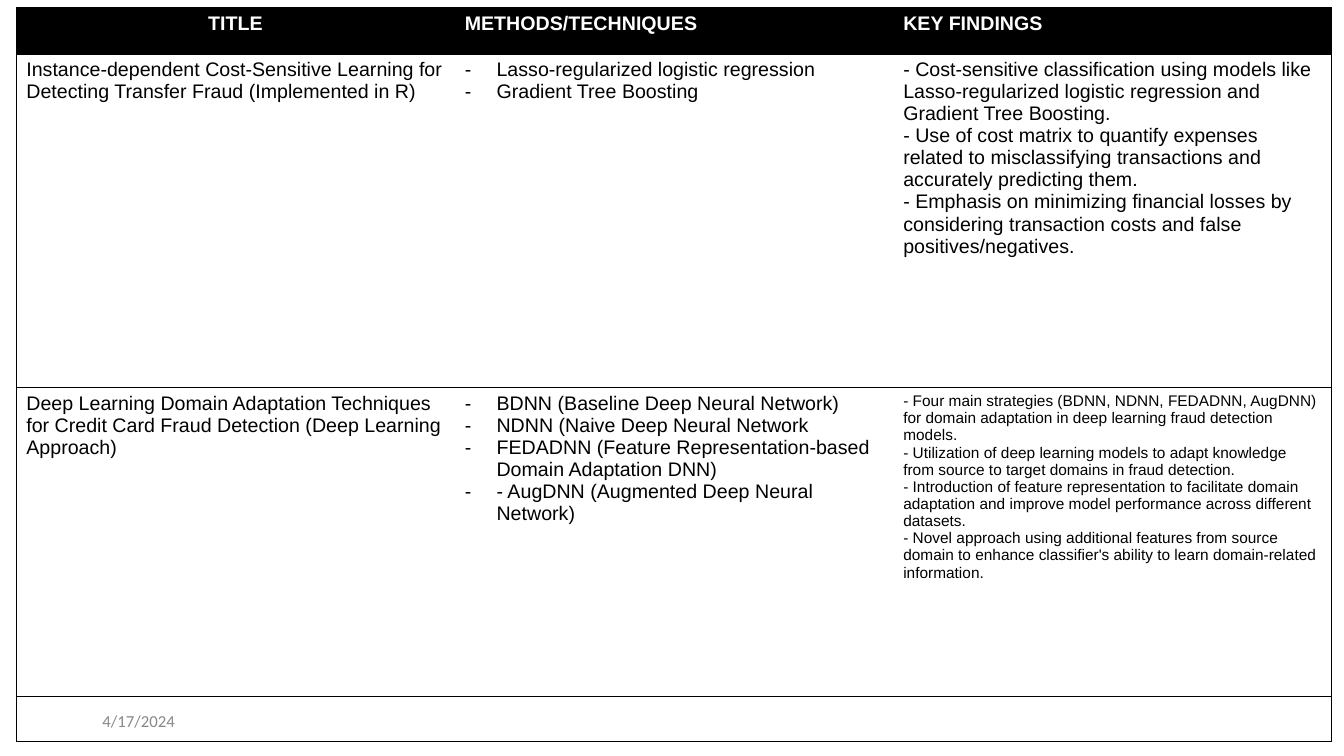
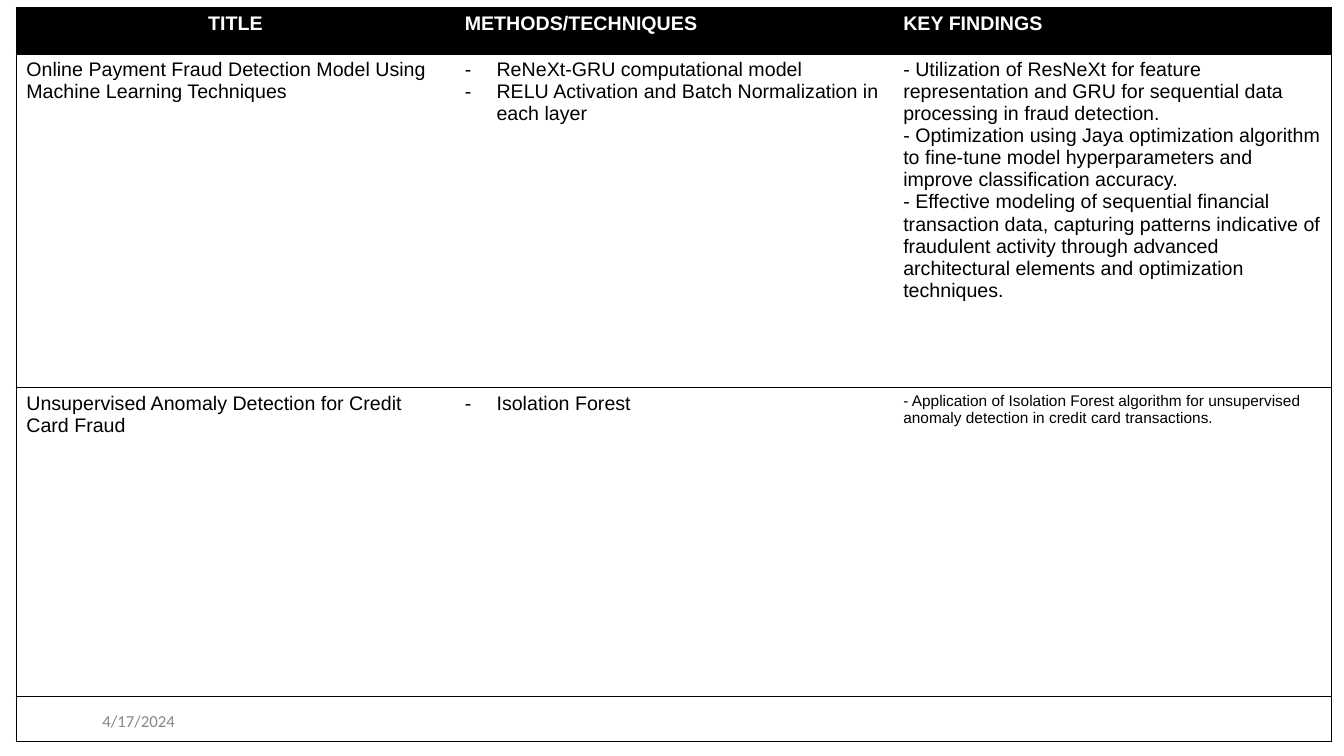
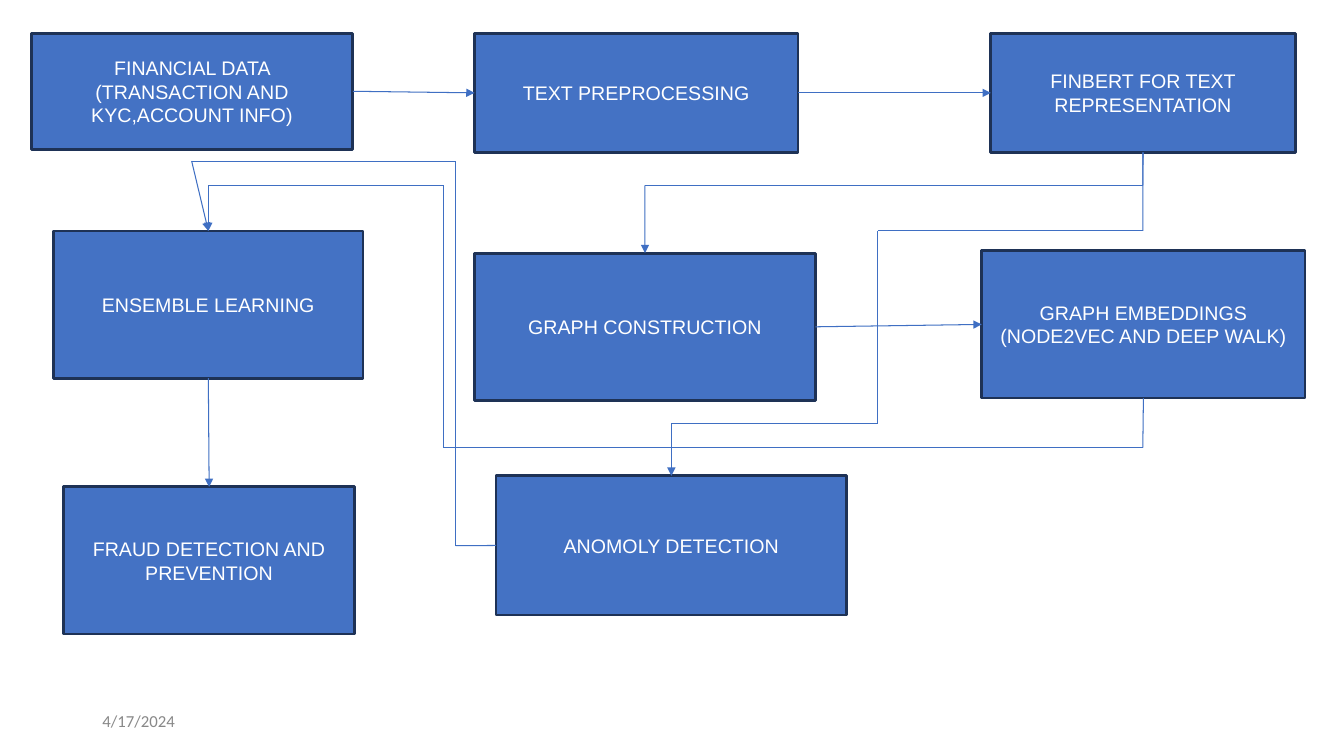
from itertools import pairwise

from lxml.etree import SubElement
from pptx import Presentation
from pptx.dml.color import RGBColor
from pptx.enum.shapes import MSO_CONNECTOR as Link, MSO_SHAPE as Shape
from pptx.enum.text import MSO_ANCHOR as Anchor, PP_ALIGN as Align
from pptx.oxml import parse_xml
from pptx.oxml.ns import nsdecls, qn
from pptx.util import Cm, Pt

# Connection sites of a rectangle
TOP, LEFT, BOTTOM, RIGHT = range(4)
PLAIN_TABLE = "{2D5ABB26-0587-4C30-8999-92F81FD0307C}"


def color(value):
    return RGBColor.from_string(value)


class Deck:
    black, white, gray = "000000", "FFFFFF", "888888"
    blue, outline, arrow = "4472C4", "1E3256", "3F6FC3"
    font, footer_font = "Arial", "Calibri"
    size, small, footer_size = 14, 11, 12
    date = "4/17/2024"

    def __init__(self):
        self.deck = Presentation()
        self.deck.slide_width, self.deck.slide_height = Cm(33.87), Cm(19.05)
        self.page = None

    def add_page(self):
        self.page = self.deck.slides.add_slide(self.deck.slide_layouts[6])
        box = self.page.shapes.add_textbox(Cm(2.33), Cm(17.65), Cm(7.62), Cm(1.01))
        box.text_frame.word_wrap = True
        box.text_frame.vertical_anchor = Anchor.MIDDLE
        self.set_text(box.text_frame, self.date, self.gray, self.footer_size,
                      font=self.footer_font)

    def set_text(self, frame, text, ink, size=size, bold=False, align=Align.LEFT,
                 font=font, dashes=False):
        frame.text = text
        for para in frame.paragraphs:
            para.alignment = align
            if dashes:
                self.add_dash(para)
            for span in para.runs:
                span.font.name, span.font.size = font, Pt(size)
                span.font.bold = bold
                span.font.color.rgb = color(ink)

    def add_dash(self, para):
        props = para._p.get_or_add_pPr()
        props.set("marL", str(Cm(0.8)))
        props.set("indent", str(-Cm(0.8)))
        SubElement(props, qn("a:buFont"), typeface=self.font)
        SubElement(props, qn("a:buChar"), char="-")

    # Literature table
    def add_table(self, headers, studies):
        heights = (1.17, 8.41, 7.77, 1.14)
        frame = self.page.shapes.add_table(
            len(heights), len(headers), Cm(0.41), Cm(0.19), Cm(33.15), Cm(18.49))
        table = frame.table
        table._tbl.tblPr.find(qn("a:tableStyleId")).text = PLAIN_TABLE
        table.first_row = table.horz_banding = False
        for column in table.columns:
            column.width = Cm(11.05)
        for row, height in zip(table.rows, heights):
            row.height = Cm(height)
        for index, header in enumerate(headers):
            self.set_text(table.cell(0, index).text_frame, header, self.white,
                          bold=True, align=Align.LEFT if index else Align.CENTER)
        for number, (title, methods, findings) in enumerate(studies, 1):
            cells = [cell.text_frame for cell in table.rows[number].cells]
            self.set_text(cells[0], title, self.black)
            self.set_text(cells[1], "\n".join(methods), self.black, dashes=True)
            self.set_text(cells[2], "\n".join(f"- {finding}" for finding in findings),
                          self.black, self.size if number == 1 else self.small)
        for number, row in enumerate(table.rows):
            for index, cell in enumerate(row.cells):
                if number == 0:
                    cell.fill.solid()
                    cell.fill.fore_color.rgb = color(self.black)
                else:
                    cell.fill.background()
                self.add_borders(cell, index == 0, index == len(headers) - 1)

    def add_borders(self, cell, first, last):
        props = cell._tc.get_or_add_tcPr()
        sides = {"L": first, "R": last, "T": True, "B": True}
        for place, (side, drawn) in enumerate(sides.items()):
            paint = (f'<a:solidFill><a:srgbClr val="{self.black}"/></a:solidFill>'
                     if drawn else "<a:noFill/>")
            props.insert(place, parse_xml(
                f'<a:ln{side} {nsdecls("a")} w="{Pt(0.75)}">{paint}</a:ln{side}>'))

    # Flow chart
    def add_step(self, text, left, top, width, height=3.71):
        box = self.page.shapes.add_shape(
            Shape.RECTANGLE, Cm(left), Cm(top), Cm(width), Cm(height))
        box.shadow.inherit = False
        box.fill.solid()
        box.fill.fore_color.rgb = color(self.blue)
        box.line.color.rgb = color(self.outline)
        box.line.width = Pt(2)
        box.text_frame.word_wrap = True
        box.text_frame.vertical_anchor = Anchor.MIDDLE
        self.set_text(box.text_frame, text, self.white, align=Align.CENTER)
        return box

    def add_route(self, start, start_site, end, end_site, corners=()):
        """Join two steps by straight lines through the corners, ending in an arrow."""
        points = [(0, 0), *corners, (0, 0)]
        lines = [self.page.shapes.add_connector(
            Link.STRAIGHT, Cm(x1), Cm(y1), Cm(x2), Cm(y2))
            for (x1, y1), (x2, y2) in pairwise(points)]
        lines[0].begin_connect(start, start_site)
        lines[-1].end_connect(end, end_site)
        for line in lines:
            line.line.color.rgb = color(self.arrow)
            line.line.width = Pt(0.75)
            SubElement(line._element.spPr, qn("a:effectLst"))
        SubElement(lines[-1].line._get_or_add_ln(), qn("a:tailEnd"), type="triangle")


HEADERS = ("TITLE", "METHODS/TECHNIQUES", "KEY FINDINGS")

# Each study: title, methods, findings
STUDY_PAGES = [
    [
        ("Instance-dependent Cost-Sensitive Learning for Detecting Transfer Fraud "
         "(Implemented in R)",
         ["Lasso-regularized logistic regression", "Gradient Tree Boosting"],
         ["Cost-sensitive classification using models like Lasso-regularized logistic "
          "regression and Gradient Tree Boosting.",
          "Use of cost matrix to quantify expenses related to misclassifying "
          "transactions and accurately predicting them.",
          "Emphasis on minimizing financial losses by considering transaction costs "
          "and false positives/negatives."]),
        ("Deep Learning Domain Adaptation Techniques for Credit Card Fraud Detection "
         "(Deep Learning Approach)",
         ["BDNN (Baseline Deep Neural Network)",
          "NDNN (Naive Deep Neural Network",
          "FEDADNN (Feature Representation-based Domain Adaptation DNN)",
          "- AugDNN (Augmented Deep Neural Network)"],
         ["Four main strategies (BDNN, NDNN, FEDADNN, AugDNN) for domain adaptation "
          "in deep learning fraud detection models.",
          "Utilization of deep learning models to adapt knowledge from source to "
          "target domains in fraud detection.",
          "Introduction of feature representation to facilitate domain adaptation and "
          "improve model performance across different datasets.",
          "Novel approach using additional features from source domain to enhance "
          "classifier's ability to learn domain-related information."]),
    ],
    [
        ("Online Payment Fraud Detection Model Using Machine Learning Techniques",
         ["ReNeXt-GRU computational model",
          "RELU Activation and Batch Normalization in each layer"],
         ["Utilization of ResNeXt for feature representation and GRU for sequential "
          "data processing in fraud detection.",
          "Optimization using Jaya optimization algorithm to fine-tune model "
          "hyperparameters and improve classification accuracy.",
          "Effective modeling of sequential financial transaction data, capturing "
          "patterns indicative of fraudulent activity through advanced architectural "
          "elements and optimization techniques."]),
        ("Unsupervised Anomaly Detection for Credit Card Fraud",
         ["Isolation Forest"],
         ["Application of Isolation Forest algorithm for unsupervised anomaly "
          "detection in credit card transactions."]),
    ],
]


def add_flow(deck):
    deck.add_page()
    # Steps
    data = deck.add_step("FINANCIAL DATA (TRANSACTION AND KYC,ACCOUNT INFO)",
                         0.79, 0.84, 8.1, 2.92)
    text = deck.add_step("TEXT PREPROCESSING", 11.96, 0.84, 8.15, 3)
    finbert = deck.add_step("FINBERT FOR TEXT REPRESENTATION", 24.97, 0.84, 7.67, 3)
    ensemble = deck.add_step("ENSEMBLE LEARNING", 1.35, 5.82, 7.8)
    graph = deck.add_step("GRAPH CONSTRUCTION", 11.96, 6.38, 8.59)
    embeddings = deck.add_step("GRAPH EMBEDDINGS (NODE2VEC AND DEEP WALK)",
                               24.74, 6.32, 8.15)
    prevention = deck.add_step("FRAUD DETECTION AND PREVENTION", 1.6, 12.27, 7.34)
    anomaly = deck.add_step("ANOMOLY DETECTION", 12.5, 11.99, 8.84, 3.51)

    # Direct arrows
    deck.add_route(data, RIGHT, text, LEFT)
    deck.add_route(text, RIGHT, finbert, LEFT)
    deck.add_route(graph, RIGHT, embeddings, LEFT)
    deck.add_route(ensemble, BOTTOM, prevention, TOP)

    # Arrows around the steps
    deck.add_route(finbert, BOTTOM, graph, TOP, [(28.8, 4.67), (16.25, 4.67)])
    deck.add_route(embeddings, BOTTOM, ensemble, TOP,
                   [(28.8, 11.28), (11.18, 11.28), (11.18, 4.67), (5.25, 4.67)])
    deck.add_route(finbert, BOTTOM, anomaly, TOP,
                   [(28.8, 5.82), (22.12, 5.82), (22.12, 10.67), (16.92, 10.67)])
    deck.add_route(anomaly, LEFT, ensemble, TOP,
                   [(11.48, 13.75), (11.48, 4.06), (4.83, 4.06)])


def main():
    deck = Deck()
    for studies in STUDY_PAGES:
        deck.add_page()
        deck.add_table(HEADERS, studies)
    add_flow(deck)
    deck.deck.save("out.pptx")


if __name__ == "__main__":
    main()
